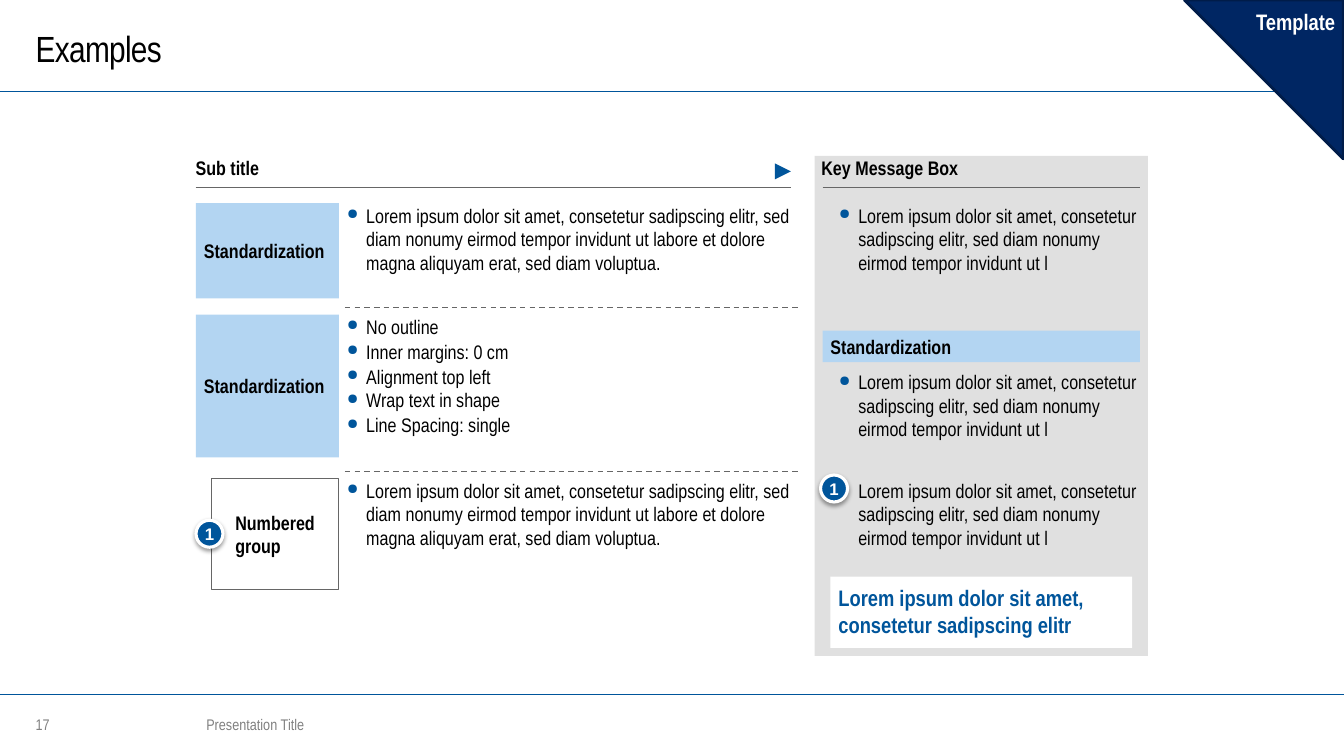
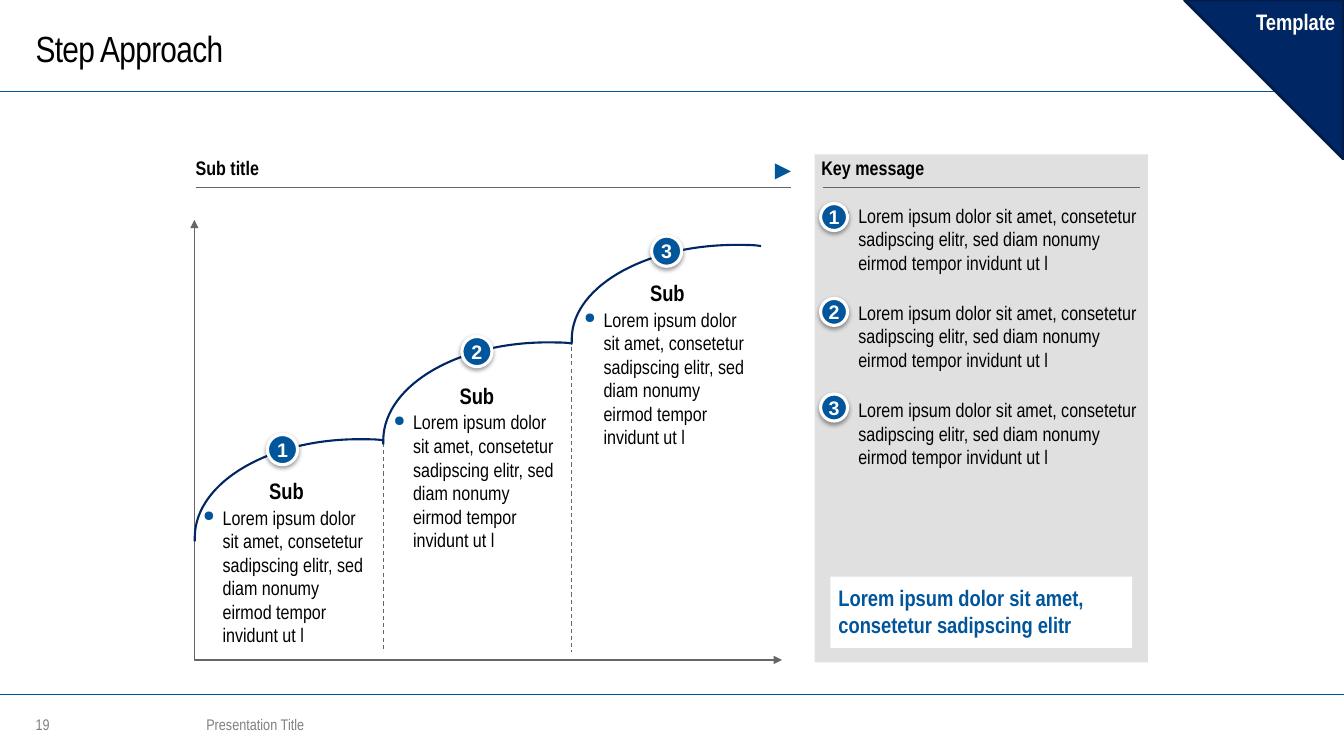
from lxml.etree import SubElement
from pptx import Presentation
from pptx.dml.color import RGBColor
from pptx.enum.dml import MSO_LINE
from pptx.enum.shapes import MSO_CONNECTOR, MSO_SHAPE
from pptx.enum.text import MSO_ANCHOR, PP_ALIGN
from pptx.oxml.ns import qn
from pptx.util import Cm, Pt


class Theme:
    blue = RGBColor.from_string("00559B")
    navy = RGBColor.from_string("002663")
    edge = RGBColor.from_string("001C49")
    pale = RGBColor.from_string("B3D5F2")
    panel = RGBColor.from_string("E0E0E0")
    gray = RGBColor.from_string("666666")
    foot = RGBColor.from_string("808080")
    white = RGBColor.from_string("FFFFFF")
    black = RGBColor.from_string("000000")
    # font, size, colour, bold, align
    styles = {
        "title": ("Arial Narrow", 26, black, False, PP_ALIGN.LEFT),
        "foot": ("Arial Narrow", 11, foot, False, PP_ALIGN.LEFT),
        "head": ("Arial Narrow", 14, black, True, PP_ALIGN.LEFT),
        "sub": ("Arial Narrow", 16, black, True, PP_ALIGN.CENTER),
        "point": ("Arial Narrow", 14, black, False, PP_ALIGN.LEFT),
        "key": ("Arial Narrow", 16, blue, True, PP_ALIGN.LEFT),
        "flag": ("Arial Narrow", 16, white, True, PP_ALIGN.RIGHT),
        "small": ("Arial", 12, white, True, PP_ALIGN.CENTER),
        "large": ("Arial", 14, white, True, PP_ALIGN.CENTER),
    }
    hang = 0.49


def box(page, place, texts=(), kind=None, fill=None, line=None, wide=1,
        pad=0, left=None, anchor=MSO_ANCHOR.MIDDLE, gap=1):
    """Add a text box, or a preset shape when a kind is given."""
    spot = [Cm(n) for n in place]
    if kind is None:
        shape = page.shapes.add_textbox(*spot)
    else:
        shape = page.shapes.add_shape(kind, *spot)
        shape.shadow.inherit = False
        shape.fill.solid()
        shape.fill.fore_color.rgb = fill
        if line is None:
            shape.line.fill.background()
        else:
            shape.line.color.rgb = line
            shape.line.width = Pt(wide)
    frame = shape.text_frame
    frame.word_wrap = True
    frame.vertical_anchor = anchor
    frame.margin_left = Cm(pad if left is None else left)
    frame.margin_right = frame.margin_top = frame.margin_bottom = Cm(pad)
    for i, (text, style) in enumerate(texts):
        font, size, colour, bold, align = Theme.styles[style]
        para = frame.add_paragraph() if i else frame.paragraphs[0]
        para.alignment = align
        if i:
            para.space_before = Pt(gap)
        if style == "point":
            props = para._p.get_or_add_pPr()
            props.set("marL", str(Cm(Theme.hang)))
            props.set("indent", str(-Cm(Theme.hang)))
            tint = SubElement(props, qn("a:buClr"))
            SubElement(tint, qn("a:srgbClr"), val=str(Theme.blue))
            SubElement(props, qn("a:buSzPct"), val="75000")
            SubElement(props, qn("a:buChar"), char="●")
        run = para.add_run()
        run.text = text
        run.font.name, run.font.size, run.font.bold = font, Pt(size), bold
        run.font.color.rgb = colour
        if style == "title":
            run._r.get_or_add_rPr().set("spc", "-50")
    return shape


def rule(page, x1, y1, x2, y2, colour=Theme.gray, wide=1, dash=False):
    """Add a straight line."""
    line = page.shapes.add_connector(
        MSO_CONNECTOR.STRAIGHT, Cm(x1), Cm(y1), Cm(x2), Cm(y2))
    line.line.color.rgb = colour
    line.line.width = Pt(wide)
    if dash:
        line.line.dash_style = MSO_LINE.DASH
    SubElement(line._element.spPr, qn("a:effectLst"))


deck = Presentation()
deck.slide_width, deck.slide_height = Cm(33.87), Cm(19.05)

RECT = MSO_SHAPE.RECTANGLE
TOP = MSO_ANCHOR.TOP
SHORT = ("Lorem ipsum dolor sit amet, consetetur sadipscing elitr, "
         "sed diam nonumy eirmod tempor invidunt ut l")
LONG = ("Lorem ipsum dolor sit amet, consetetur sadipscing elitr, sed diam "
        "nonumy eirmod tempor invidunt ut labore et dolore magna aliquyam "
        "erat, sed diam voluptua.")
LIST = ["No outline", "Inner margins: 0 cm", "Alignment top left",
        "Wrap text in shape", "Line Spacing: single"]

# Shared frame of both slides
pages = []
for title, number, label, top, high in [
    ("Examples", "17", "Key Message Box", 3.93, 12.6),
    ("Step Approach", "19", "Key message", 3.89, 12.8),
]:
    page = deck.slides.add_slide(deck.slide_layouts[6])
    pages.append(page)
    for y in (2.31, 17.5):
        rule(page, 0, y, 33.87, y, Theme.blue)
    box(page, (0.9, 0.1, 26.14, 2.2), [(title, "title")])
    box(page, (0.9, 17.91, 0.94, 0.7), [(number, "foot")])
    box(page, (5.2, 17.91, 17.3, 0.7), [("Presentation Title", "foot")])

    # Left heading
    box(page, (4.93, 3.93, 14.4, 0.6), [("Sub title", "head")])
    rule(page, 4.93, 4.72, 19.93, 4.72)
    arrow = box(page, (19.53, 4.12, 0.4, 0.4),
                kind=MSO_SHAPE.ISOSCELES_TRIANGLE, fill=Theme.blue)
    arrow.rotation = 90

    # Right panel
    box(page, (20.53, top, 8.4, high), kind=RECT, fill=Theme.panel)
    box(page, (20.7, 3.93, 8, 0.6), [(label, "head")])
    rule(page, 20.73, 4.72, 28.73, 4.72)
    box(page, (20.93, 14.53, 7.6, 1.8),
        [("Lorem ipsum dolor sit amet, consetetur sadipscing elitr", "key")],
        RECT, Theme.white, pad=0.2, anchor=TOP)

    # Corner flag
    flag = box(page, (29.85, 0, 4, 4), [("Template", "flag")],
               MSO_SHAPE.ISOSCELES_TRIANGLE, Theme.navy, Theme.edge, 2,
               pad=0.2, anchor=TOP)
    flag.adjustments[0] = 1
    flag.rotation = 270
    flag.text_frame.word_wrap = False
    flag.text_frame._txBody.bodyPr.set("vert", "vert")

first, second = pages

# Examples: labels, texts and dividers
for place in [(4.94, 5.12, 3.6, 2.4), (4.94, 7.93, 3.6, 3.6),
              (20.73, 8.33, 8, 0.8)]:
    box(first, place, [("Standardization", "head")], RECT, Theme.pale, pad=0.2)
box(first, (5.33, 12.06, 3.2, 2.8), [("Numbered group", "head")],
    RECT, Theme.white, Theme.gray, pad=0.2, left=0.6)
for y, high, lines in [(5.13, 1.8, [LONG]), (7.93, 3.1, LIST),
                       (12.06, 1.8, [LONG])]:
    body = box(first, (8.74, y, 11.4, high),
               [(text, "point") for text in lines],
               RECT, Theme.white, anchor=TOP)
    if lines is LIST:
        body.text_frame.paragraphs[3].space_before = Pt(0)
for y in (7.75, 11.88):
    rule(first, 8.69, y, 20.17, y, dash=True)
for y in (5.13, 9.33, 12.06):
    box(first, (21.14, y, 7.8, 1.8), [(SHORT, "point")], anchor=TOP)

# Step Approach: axes and step curves
for x, y in [(9.66, 10.97), (14.41, 8.56)]:
    rule(second, x, y, x, 16.43, wide=0.75, dash=True)
paths = [([(4.9, 5.54), (4.9, 16.63), (19.71, 16.63)], Theme.gray, 1)]
curve = [(0, 0), (0, -0.05), (0, -0.08), (0, -0.13), (0.03, -1.52),
         (1.96, -2.62), (4.29, -2.57), (4.45, -2.57), (4.62, -2.57),
         (4.77, -2.54)]
for x, y, tall in [(4.91, 13.64, 1), (9.66, 11.2, 1), (14.41, 8.64, 0.96)]:
    dots = [(x + dx, y + tall * dy) for dx, dy in curve]
    paths.append((dots, Theme.navy, 1.5))
for dots, colour, wide in paths:
    dots = [(Cm(x), Cm(y)) for x, y in dots]
    pen = second.shapes.build_freeform(*dots[0])
    pen.add_line_segments(dots[1:], close=False)
    shape = pen.convert_to_shape()
    shape.shadow.inherit = False
    shape.fill.background()
    shape.line.color.rgb = colour
    shape.line.width = Pt(wide)
    if colour == Theme.gray:
        for end in ("a:headEnd", "a:tailEnd"):
            SubElement(shape.line._get_or_add_ln(), qn(end), type="triangle")
        continue
    # Join each three points into one Bezier segment
    steps = list(shape._element.iter(qn("a:lnTo")))
    trace = steps[0].getparent()
    for i in range(0, len(steps), 3):
        bend = SubElement(trace, qn("a:cubicBezTo"))
        for step in steps[i:i + 3]:
            bend.append(step[0])
            trace.remove(step)

# Step Approach: texts
for i, y in enumerate((12.03, 9.63, 7.04)):
    box(second, (5.12 + 4.8 * i, y, 4.2, 4.95),
        [("Sub", "sub"), (SHORT, "point")], anchor=TOP)
box(second, (21.14, 5.13, 7.8, 6.73), [(SHORT, "point")] * 3,
    anchor=TOP, gap=19)

# Numbered badges
for page, x, y, size, digit, style in [
    (first, 4.94, 13.11, 0.68, 1, "small"),
    (first, 20.68, 11.97, 0.68, 1, "small"),
    (second, 6.74, 10.95, 0.76, 1, "large"),
    (second, 11.64, 8.48, 0.76, 2, "large"),
    (second, 16.42, 5.95, 0.76, 3, "large"),
    (second, 20.68, 5.13, 0.68, 1, "large"),
    (second, 20.68, 7.52, 0.68, 2, "large"),
    (second, 20.68, 9.93, 0.68, 3, "large"),
]:
    badge = box(page, (x, y, size, size), [(str(digit), style)],
                MSO_SHAPE.OVAL, Theme.blue, Theme.white, 2.25)
    glow = SubElement(badge._element.spPr.find(qn("a:effectLst")),
                      qn("a:outerShdw"), blurRad=str(Pt(3.1)),
                      dist=str(Pt(1.6)), dir="5400000", rotWithShape="0")
    tint = SubElement(glow, qn("a:srgbClr"), val=str(Theme.black))
    SubElement(tint, qn("a:alpha"), val="38000")

deck.save("out.pptx")
